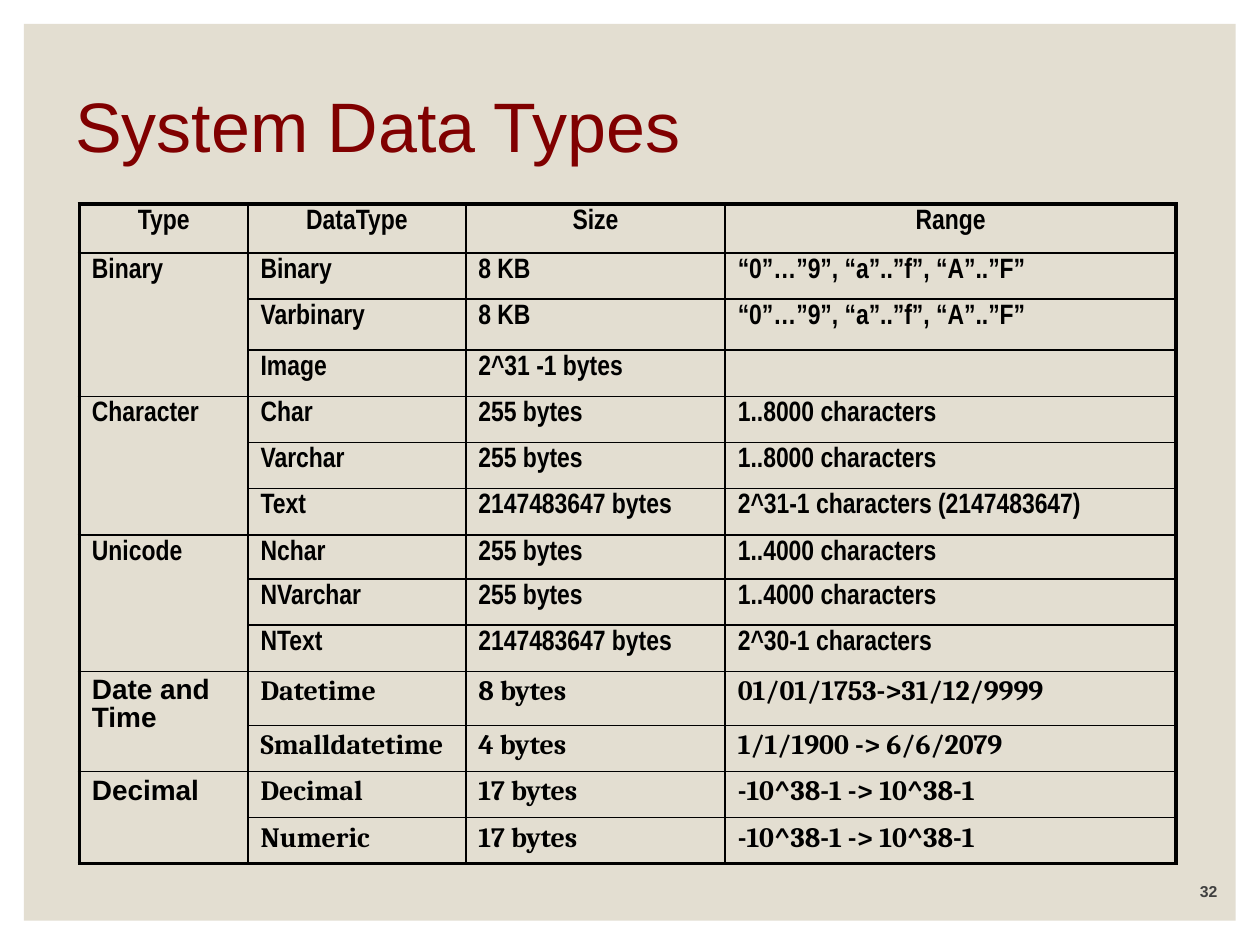
from dataclasses import dataclass

import pptx
import pptx.dml.color
import pptx.enum.shapes
import pptx.enum.text
import pptx.oxml.ns
import pptx.util
from lxml import etree

Cm, Pt = pptx.util.Cm, pptx.util.Pt
Align, Anchor = pptx.enum.text.PP_ALIGN, pptx.enum.text.MSO_ANCHOR


@dataclass(frozen=True)
class Theme:
    panel: str = "E3DED1"
    title: str = "800000"
    ink: str = "000000"
    muted: str = "404040"
    title_size: int = 40
    table_size: int = 16
    number_size: int = 9
    outer_line: float = 2.25
    inner_line: float = 1
    sans: str = "Arial"
    narrow: str = "Arial Narrow"
    serif: str = "Cambria"


THEME = Theme()
HEADER = ["Type", "DataType", "Size", "Range"]
HEX_DIGITS = "“0”…”9”, “a”..”f”, “A”..”F”"
DECIMAL_RANGE = "-10^38-1 -> 10^38-1"
# Type, font of the type, font of its details, rows of details
GROUPS = [
    ("Binary", THEME.narrow, THEME.narrow, [
        ("Binary", "8 KB", HEX_DIGITS),
        ("Varbinary", "8 KB", HEX_DIGITS),
        ("Image", "2^31 -1 bytes", "")]),
    ("Character", THEME.narrow, THEME.narrow, [
        ("Char", "255 bytes", "1..8000 characters"),
        ("Varchar", "255 bytes", "1..8000 characters"),
        ("Text", "2147483647 bytes", "2^31-1 characters (2147483647)")]),
    ("Unicode", THEME.narrow, THEME.narrow, [
        ("Nchar", "255 bytes", "1..4000 characters"),
        ("NVarchar", "255 bytes", "1..4000 characters"),
        ("NText", "2147483647 bytes", "2^30-1 characters")]),
    ("Date and Time", THEME.sans, THEME.serif, [
        ("Datetime", "8 bytes", "01/01/1753->31/12/9999"),
        ("Smalldatetime", "4 bytes", "1/1/1900 -> 6/6/2079")]),
    ("Decimal", THEME.sans, THEME.serif, [
        ("Decimal", "17 bytes", DECIMAL_RANGE),
        ("Numeric", "17 bytes", DECIMAL_RANGE)]),
]
COLUMN_WIDTHS = [3.4, 4.39, 5.23, 9.09]
ROW_HEIGHT = 0.93
SPECIAL_HEIGHTS = {0: 0.99, 2: 1.03, 3: 0.91, 7: 0.89, 10: 1.09}


def rgb(value):
    return pptx.dml.color.RGBColor.from_string(value)


def write(frame, text, color, align=Align.LEFT, **font_values):
    para = frame.paragraphs[0]
    para.alignment, para.line_spacing = align, 0.9
    span = para.add_run()
    span.text = text
    span.font.color.rgb = rgb(color)
    for name, value in font_values.items():
        setattr(span.font, name, value)


def add_panel(page):
    panel = page.shapes.add_shape(
        pptx.enum.shapes.MSO_SHAPE.RECTANGLE, Cm(0.48), Cm(0.48), Cm(24.43), Cm(18.08))
    panel.shadow.inherit = False
    panel.fill.solid()
    panel.fill.fore_color.rgb = rgb(THEME.panel)
    panel.line.fill.background()


def add_label(page, bounds, anchor, text, color, **format_values):
    box = page.shapes.add_textbox(*map(Cm, bounds))
    box.text_frame.word_wrap = True
    box.text_frame.vertical_anchor = anchor
    write(box.text_frame, text, color, **format_values)


def set_borders(cell, widths):
    """Draw cell sides; widths maps L, R, T, B (in this order) to points."""
    properties = cell._tc.get_or_add_tcPr()
    for index, (side, width) in enumerate(widths.items()):
        line = etree.Element(pptx.oxml.ns.qn(f"a:ln{side}"), w=str(Pt(width)))
        fill = etree.SubElement(line, pptx.oxml.ns.qn("a:solidFill"))
        etree.SubElement(fill, pptx.oxml.ns.qn("a:srgbClr"), val=THEME.ink)
        properties.insert(index, line)


def fill_cell(table, row, column, text, font, align=Align.LEFT, rows=1):
    """Write and frame a cell that spans the given number of rows."""
    cell = table.cell(row, column)
    if rows > 1:
        cell.merge(table.cell(row + rows - 1, column))
    if text:
        write(cell.text_frame, text, THEME.ink, align,
              name=font, size=Pt(THEME.table_size), bold=True)
    at_edge = {
        "L": column == 0,
        "R": column == len(table.columns) - 1,
        "T": row == 0,
        "B": row + rows == len(table.rows),
    }
    widths = {side: THEME.outer_line if edge else THEME.inner_line
              for side, edge in at_edge.items()}
    set_borders(cell, widths)


def shrink_empty_cells(table):
    """Keep empty cells from stretching their rows."""
    for cell in table.iter_cells():
        cell.fill.background()
        if not cell.text_frame.text:
            etree.SubElement(cell.text_frame.paragraphs[0]._p,
                             pptx.oxml.ns.qn("a:endParaRPr"),
                             sz=str(THEME.table_size * 100))


def add_type_table(page):
    row_count = 1 + sum(len(details) for *_, details in GROUPS)
    heights = [SPECIAL_HEIGHTS.get(row, ROW_HEIGHT) for row in range(row_count)]
    table = page.shapes.add_table(
        row_count, len(HEADER), Cm(1.6), Cm(4.11),
        Cm(sum(COLUMN_WIDTHS)), Cm(sum(heights))).table
    table.first_row = table.horz_banding = False
    for column, width in zip(table.columns, COLUMN_WIDTHS):
        column.width = Cm(width)
    for row, height in zip(table.rows, heights):
        row.height = Cm(height)

    for column, heading in enumerate(HEADER):
        fill_cell(table, 0, column, heading, THEME.narrow, Align.CENTER)
    row = 1
    for kind, kind_font, detail_font, details in GROUPS:
        fill_cell(table, row, 0, kind, kind_font, rows=len(details))
        for values in details:
            for column, value in enumerate(values, start=1):
                justified = column == 1 and detail_font == THEME.serif
                fill_cell(table, row, column, value, detail_font,
                          Align.JUSTIFY if justified else Align.LEFT)
            row += 1
    shrink_empty_cells(table)


def main():
    deck = pptx.Presentation()
    deck.slide_width, deck.slide_height = Cm(25.4), Cm(19.05)
    page = deck.slides.add_slide(deck.slide_layouts[6])
    add_panel(page)
    add_label(page, (1.27, 0.71, 22.86, 3.81), Anchor.MIDDLE, "System Data Types",
              THEME.title, name=THEME.sans, size=Pt(THEME.title_size))
    add_label(page, (21.74, 17.53, 3.05, 0.76), Anchor.BOTTOM, "32", THEME.muted,
              align=Align.RIGHT, name=THEME.sans, size=Pt(THEME.number_size), bold=True)
    add_type_table(page)
    deck.save("out.pptx")


if __name__ == "__main__":
    main()
